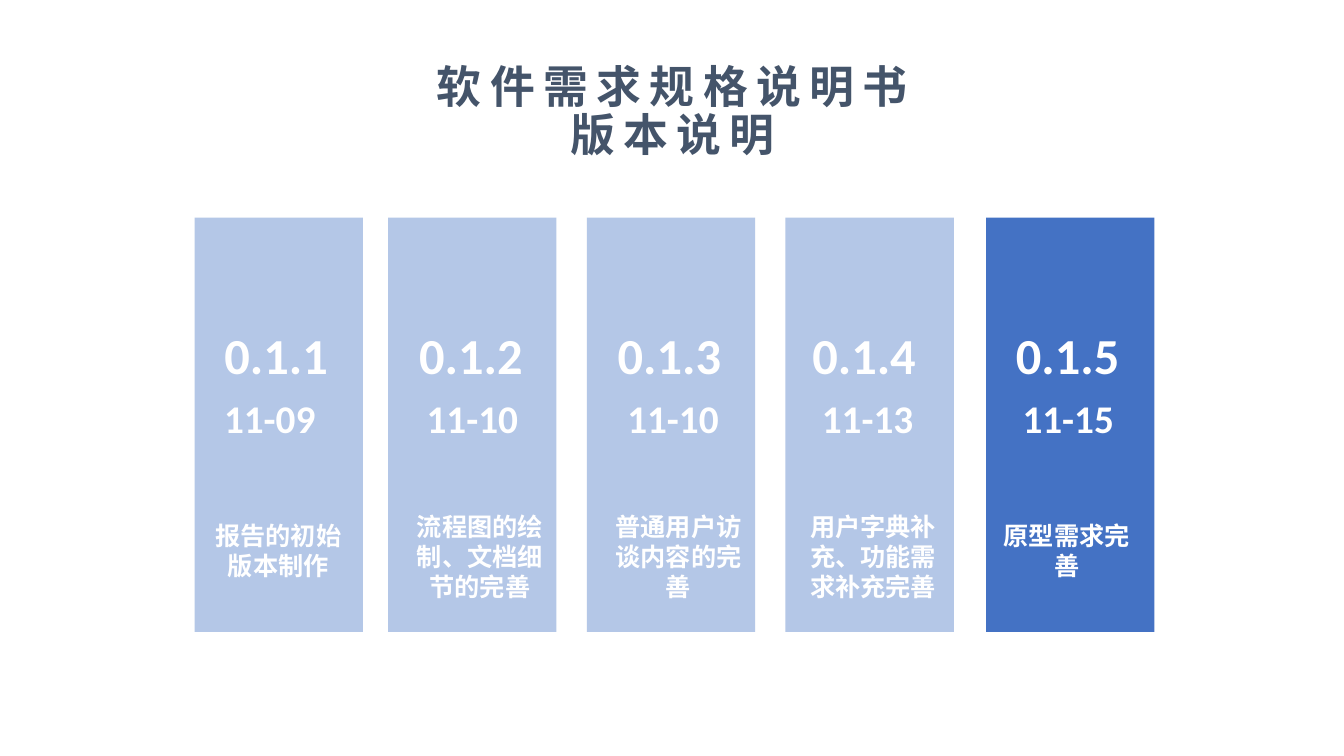
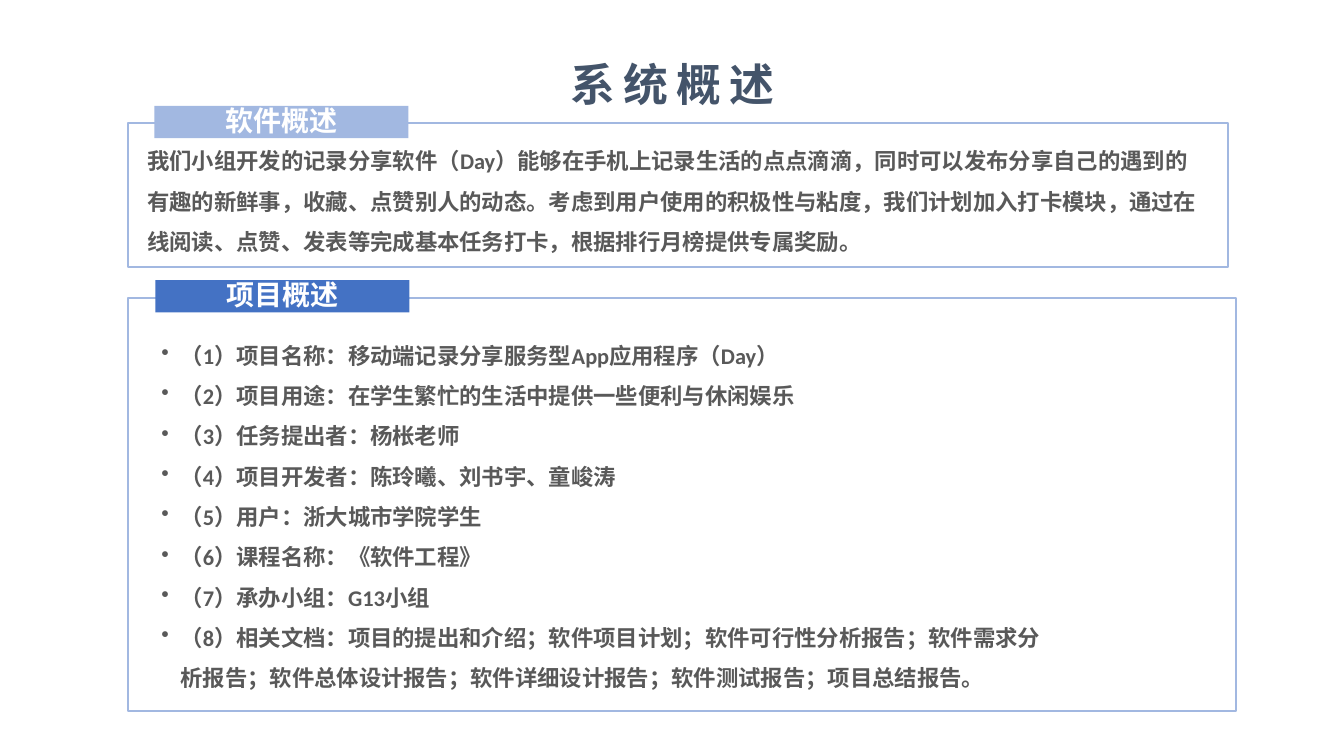
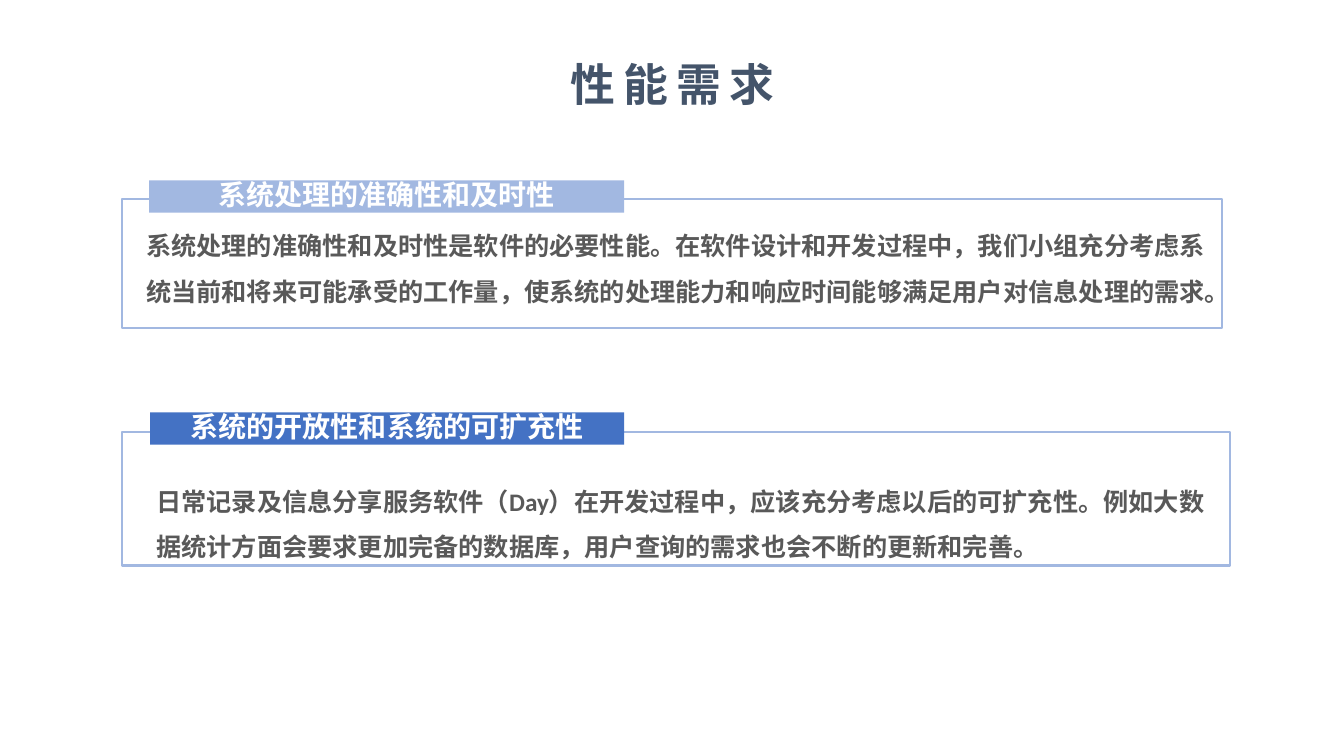
from dataclasses import dataclass

from lxml import etree
from pptx import Presentation
from pptx.dml.color import RGBColor
from pptx.enum.shapes import MSO_SHAPE
from pptx.enum.text import MSO_ANCHOR, MSO_AUTO_SIZE, PP_ALIGN
from pptx.oxml.ns import qn
from pptx.util import Inches, Pt

RECT = MSO_SHAPE.RECTANGLE
TOP, MIDDLE = MSO_ANCHOR.TOP, MSO_ANCHOR.MIDDLE
LEFT, CENTER = PP_ALIGN.LEFT, PP_ALIGN.CENTER
NO_FIT = MSO_AUTO_SIZE.NONE
TITLE_ONLY = 5


@dataclass(frozen=True)
class Theme:
    white: str = "FFFFFF"
    navy: str = "44546A"
    blue: str = "4472C4"
    pale: str = "B4C7E7"
    soft: str = "A2B8E1"
    gray: str = "595959"
    latin: str = "Calibri"
    cjk: str = "Noto Sans CJK SC"
    title: int = 32
    version: int = 36
    date: int = 28
    tag: int = 20
    body: int = 18
    small: int = 16


THEME = Theme()
DEFAULT_INSETS = (0.1, 0.05, 0.1, 0.05)
BODY_INSETS = (0.07, 0.03, 0.07, 0.03)
VERSION_INSETS = (0, 0.03, 0.07, 0.03)


class Deck:
    def __init__(self, theme):
        self.t = theme
        self.prs = Presentation()
        self.prs.slide_width = Inches(13.33)
        self.prs.slide_height = Inches(7.5)
        self.s = None

    # Text helpers
    def frame(self, sp, insets=DEFAULT_INSETS, anchor=TOP):
        tf = sp.text_frame
        tf.word_wrap = True
        tf.auto_size = NO_FIT
        tf.vertical_anchor = anchor
        (tf.margin_left, tf.margin_top,
         tf.margin_right, tf.margin_bottom) = map(Inches, insets)
        return tf

    def add_lines(self, tf, lines, size, color, align=LEFT, spacing=1.0,
                  gap=0, indent=None, bullet=False, font=None, tracking=0):
        for i, line in enumerate(lines):
            p = tf.add_paragraph() if i else tf.paragraphs[0]
            p.alignment = align
            p.line_spacing = spacing
            if i and gap:
                p.space_before = Pt(gap)
            pPr = p._p.get_or_add_pPr()
            if indent:
                pPr.set("marL", str(Inches(indent[0])))
                pPr.set("indent", str(Inches(indent[1])))
            if bullet:
                etree.SubElement(pPr, qn("a:buChar"), char="•")
            r = p.add_run()
            r.text = line
            r.font.size = Pt(size)
            r.font.bold = True
            r.font.color.rgb = RGBColor.from_string(color)
            r.font.name = font or self.t.latin
            rPr = r._r.get_or_add_rPr()
            etree.SubElement(rPr, qn("a:ea"), typeface=self.t.cjk)
            if tracking:
                rPr.set("spc", str(tracking * 100))

    # Slide elements
    def slide(self, *title, top=0.62):
        layout = self.prs.slide_layouts[TITLE_ONLY]
        self.s = self.prs.slides.add_slide(layout)
        sp = self.s.shapes.title
        sp.left, sp.top = Inches(4.07), Inches(top)
        sp.width, sp.height = Inches(5.2), Inches(0.53 * len(title))
        self.add_lines(self.frame(sp), title, self.t.title, self.t.navy,
                       CENTER, spacing=0.8, gap=3, tracking=6)

    def rect(self, box, fill, line=None):
        sp = self.s.shapes.add_shape(RECT, *map(Inches, box))
        sp.shadow.inherit = False
        sp.fill.solid()
        sp.fill.fore_color.rgb = RGBColor.from_string(fill)
        if line:
            sp.line.color.rgb = RGBColor.from_string(line)
            sp.line.width = Pt(1.5)
        else:
            sp.line.fill.background()
        return sp

    def text(self, box, lines, size, color, insets=DEFAULT_INSETS, **style):
        sp = self.s.shapes.add_textbox(*map(Inches, box))
        self.add_lines(self.frame(sp, insets), lines, size, color, **style)

    def card(self, left, fill, version, date, note):
        t = self.t
        self.rect((left, 2.16, 1.67, 4.11), fill)
        x, label = version
        self.text((x, 3.05, 1.71, 0.81), [label], t.version, t.white,
                  VERSION_INSETS, align=CENTER, spacing=Pt(53),
                  indent=(0, 0.2))
        x, label = date
        self.text((x, 3.86, 1.71, 0.57), [label], t.date, t.white,
                  align=CENTER)
        x, y, label = note
        self.text((x, y, 1.6, 1.01), [label], t.body, t.white,
                  align=CENTER, font=t.cjk)

    def panel(self, box, tag_box, tag, tag_fill, body_box, lines, size,
              **style):
        t = self.t
        self.rect(box, t.white, t.soft)
        self.text(body_box, lines, size, t.gray, BODY_INSETS, spacing=1.5,
                  **style)
        sp = self.rect(tag_box, tag_fill)
        self.add_lines(self.frame(sp, (0, 0, 0, 0), MIDDLE), [tag], t.tag,
                       t.white, CENTER, spacing=0.9)


def versions(deck):
    deck.slide("软件需求规格说明书", "版本说明", top=0.64)
    # Card left, then left edges and wording of version, date and note
    cards = [
        (1.93, (1.82, "0.1.1"), (1.82, "11-09"),
         (1.96, 5.11, "报告的初始版本制作")),
        (3.85, (3.75, "0.1.2"), (3.83, "11-10"),
         (3.96, 5.02, "流程图的绘制、文档细节的完善")),
        (5.82, (5.72, "0.1.3"), (5.82, "11-10"),
         (5.93, 5.02, "普通用户访谈内容的完善")),
        (7.79, (7.65, "0.1.4"), (7.75, "11-13"),
         (7.86, 5.02, "用户字典补充、功能需求补充完善")),
        (9.78, (9.67, "0.1.5"), (9.74, "11-15"),
         (9.78, 5.11, "原型需求完善")),
    ]
    for i, (left, *parts) in enumerate(cards, 1):
        latest = i == len(cards)
        deck.card(left, THEME.blue if latest else THEME.pale, *parts)


def overview(deck):
    deck.slide("系统概述")
    deck.panel(
        (1.27, 1.22, 10.91, 1.43), (1.53, 1.05, 2.52, 0.32),
        "软件概述", THEME.soft, (1.39, 1.3, 10.66, 1.28),
        ["我们小组开发的记录分享软件（Day）能够在手机上记录生活的点点滴滴，"
         "同时可以发布分享自己的遇到的有趣的新鲜事，收藏、点赞别人的动态。"
         "考虑到用户使用的积极性与粘度，我们计划加入打卡模块，通过在线阅读、"
         "点赞、发表等完成基本任务打卡，根据排行月榜提供专属奖励。"],
        THEME.small)
    items = [
        "项目名称：移动端记录分享服务型App应用程序（Day）",
        "项目用途：在学生繁忙的生活中提供一些便利与休闲娱乐",
        "任务提出者：杨枨老师",
        "项目开发者：陈玲曦、刘书宇、童峻涛",
        "用户：浙大城市学院学生",
        "课程名称：《软件工程》",
        "承办小组：G13小组",
        "相关文档：项目的提出和介绍；软件项目计划；软件可行性分析报告；"
        "软件需求分析报告；软件总体设计报告；软件详细设计报告；"
        "软件测试报告；项目总结报告。",
    ]
    deck.panel(
        (1.27, 2.96, 10.99, 4.09), (1.54, 2.78, 2.52, 0.32),
        "项目概述", THEME.blue, (1.53, 3.23, 8.87, 3.7),
        [f"（{n}）{item}" for n, item in enumerate(items, 1)],
        THEME.small, indent=(0.19, -0.19), bullet=True)


def performance(deck):
    deck.slide("性能需求")
    deck.panel(
        (1.21, 1.97, 10.91, 1.28), (1.48, 1.79, 4.71, 0.32),
        "系统处理的准确性和及时性", THEME.soft, (1.38, 2.11, 10.66, 0.97),
        ["系统处理的准确性和及时性是软件的必要性能。在软件设计和开发过程中，"
         "我们小组充分考虑系统当前和将来可能承受的工作量，"
         "使系统的处理能力和响应时间能够满足用户对信息处理的需求。"],
        THEME.body)
    deck.panel(
        (1.21, 4.29, 10.99, 1.32), (1.49, 4.09, 4.7, 0.32),
        "系统的开放性和系统的可扩充性", THEME.blue,
        (1.48, 4.64, 10.56, 0.97),
        ["日常记录及信息分享服务软件（Day）在开发过程中，"
         "应该充分考虑以后的可扩充性。例如大数据统计方面会要求更加完备的数据库，"
         "用户查询的需求也会不断的更新和完善。"],
        THEME.body)


def main():
    deck = Deck(THEME)
    versions(deck)
    overview(deck)
    performance(deck)
    deck.prs.save("out.pptx")


if __name__ == "__main__":
    main()
